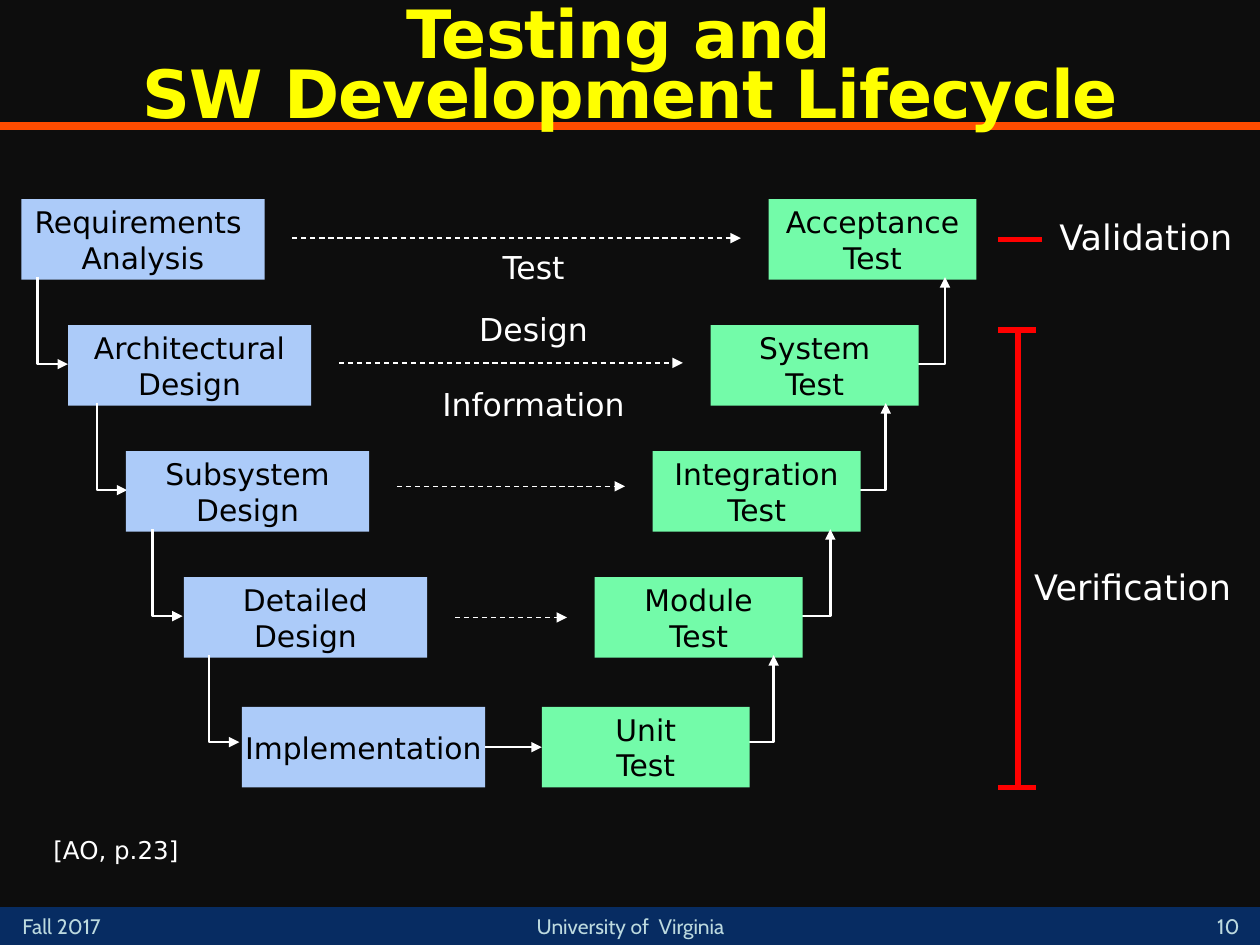
"""Build the slide that maps testing levels onto the software lifecycle."""
from dataclasses import dataclass
from typing import NamedTuple, Optional

from lxml.etree import SubElement
from pptx import Presentation
from pptx.dml.color import RGBColor
from pptx.enum.dml import MSO_LINE
from pptx.enum.shapes import MSO_CONNECTOR, MSO_SHAPE
from pptx.enum.text import MSO_ANCHOR, PP_ALIGN
from pptx.oxml.ns import qn
from pptx.util import Inches, Pt


@dataclass(frozen=True)
class Theme:
    back: str = "0D0D0D"
    bar: str = "072C62"
    rule: str = "FF4C00"
    footer: str = "BDDADF"
    title: str = "FFFF00"
    phase: str = "ACCBF9"
    test: str = "73FBA9"
    dark: str = "000000"
    light: str = "FFFFFF"
    bracket: str = "FF0000"
    body_font: str = "DejaVu Sans"
    footer_font: str = "Cabin"
    title_size: int = 38
    label_size: int = 20
    info_size: int = 18
    box_size: int = 17
    ref_size: int = 14
    footer_size: int = 12


class Stage(NamedTuple):
    phase: str
    test: str
    phase_x: float
    test_x: float
    top: float
    elbow_x: Optional[float] = None
    arrow_y: Optional[float] = None


class Label(NamedTuple):
    text: str
    box: tuple
    size: int
    color: str = "FFFFFF"
    font: str = "DejaVu Sans"
    align: PP_ALIGN = PP_ALIGN.CENTER
    anchor: MSO_ANCHOR = MSO_ANCHOR.TOP


T = Theme()
PHASE_W, TEST_W, BOX_H = 1.93, 1.65, 0.64
ARROW_GAP = 0.22
ELBOW_W, ELBOW_H, MIRROR = 0.24, 0.69, 7.8

STAGES = [
    Stage("Requirements \nAnalysis", "Acceptance\nTest", 0.17, 6.1, 1.58, 0.3, 1.89),
    Stage("Architectural\nDesign", "System\nTest", 0.54, 5.64, 2.58, 0.77, 2.88),
    Stage("Subsystem\nDesign", "Integration\nTest", 1, 5.18, 3.58, 1.21, 3.86),
    Stage("Detailed\nDesign", "Module\nTest", 1.46, 4.72, 4.58, 1.66, 4.9),
    Stage("Implementation", "Unit\nTest", 1.92, 4.3, 5.61),
]

FOOTERS = [
    Label("Fall 2017", (0.08, 7.2, 1.17, 0.3), T.footer_size, T.footer,
          T.footer_font, PP_ALIGN.LEFT),
    Label("10", (9.5, 7.17, 0.5, 0.33), T.footer_size, T.footer,
          T.footer_font, anchor=MSO_ANCHOR.BOTTOM),
    Label("University of  Virginia", (3.67, 7.2, 2.67, 0.3), T.footer_size,
          T.footer, T.footer_font),
]
TITLE = Label("Testing and \vSW Development Lifecycle", (0, 0.06, 10, 1),
              T.title_size, T.title, anchor=MSO_ANCHOR.MIDDLE)
INFO = Label("Test\nDesign\nInformation", (3.3, 1.92, 1.87, 1.51), T.info_size)
NOTES = [
    Label("[AO, p.23]", (0.17, 6.58, 1.5, 0.34), T.ref_size),
    Label("Validation", (8.17, 1.66, 1.71, 0.44), T.label_size,
          align=PP_ALIGN.RIGHT),
    Label("Verification", (8.08, 4.44, 1.79, 0.44), T.label_size,
          align=PP_ALIGN.RIGHT),
]
BRACKETS = [
    (7.92, 2.62, 8.22, 2.62),
    (8.08, 2.62, 8.08, 6.25),
    (7.92, 6.25, 8.22, 6.25),
    (7.92, 1.9, 8.27, 1.9),
]


def write(tf, label: Label, wrap: bool = True) -> None:
    """Fill a text frame and format its paragraphs and runs."""
    tf.text = label.text
    tf.word_wrap = wrap
    tf.vertical_anchor = label.anchor
    for p in tf.paragraphs:
        p.alignment = label.align
        for r in p.runs:
            r.font.name = label.font
            r.font.size = Pt(label.size)
            r.font.color.rgb = RGBColor.from_string(label.color)


def add_label(s, label: Label):
    """Add a text box and return its text frame."""
    sp = s.shapes.add_textbox(*map(Inches, label.box))
    write(sp.text_frame, label)
    return sp.text_frame


def add_title(s) -> None:
    """Add the tightly set bold title."""
    p = add_label(s, TITLE).paragraphs[0]
    p.line_spacing = 0.75
    for r in p.runs:
        r.font.bold = True
        r.font._element.set("spc", "-50")


def add_rect(s, box: tuple, color: str):
    """Add a plain filled rectangle."""
    sp = s.shapes.add_shape(MSO_SHAPE.RECTANGLE, *map(Inches, box))
    sp.shadow.inherit = False
    sp.fill.solid()
    sp.fill.fore_color.rgb = RGBColor.from_string(color)
    sp.line.fill.background()
    return sp


def add_box(s, text: str, x: float, y: float, w: float, color: str) -> None:
    """Add one lifecycle box with centred text."""
    box = (x, y, w, BOX_H)
    sp = add_rect(s, box, color)
    write(sp.text_frame, Label(text, box, T.box_size, T.dark,
                               anchor=MSO_ANCHOR.MIDDLE), wrap=False)


def add_line(s, ends: tuple, color: str, width: float, arrow: str = "",
             dash: bool = False, bent: bool = False) -> None:
    """Add a line, with an optional arrowhead at headEnd or tailEnd."""
    kind = MSO_CONNECTOR.ELBOW if bent else MSO_CONNECTOR.STRAIGHT
    c = s.shapes.add_connector(kind, *map(Inches, ends))
    c.line.color.rgb = RGBColor.from_string(color)
    c.line.width = Pt(width)
    if dash:
        c.line.dash_style = MSO_LINE.DASH
    spPr = c._element.spPr
    if bent:
        spPr.find(qn("a:prstGeom")).set("prst", "bentConnector2")
    if arrow:
        SubElement(spPr.find(qn("a:ln")), qn(f"a:{arrow}"), type="triangle")
    SubElement(spPr, qn("a:effectLst"))


def add_stage(s, st: Stage) -> None:
    """Add a phase, its test and the arrows that leave them."""
    add_box(s, st.phase, st.phase_x, st.top, PHASE_W, T.phase)
    add_box(s, st.test, st.test_x, st.top, TEST_W, T.test)
    phase_end = st.phase_x + PHASE_W
    if st.elbow_x is None:
        add_line(s, (phase_end, 5.93, st.test_x, 5.93), T.light, 1.5, "tailEnd")
        return
    add_line(s, (phase_end + ARROW_GAP, st.arrow_y, st.test_x - ARROW_GAP, st.arrow_y),
             T.light, 0.75, "tailEnd", dash=True)
    x, y = st.elbow_x, st.top + 0.62
    side, low = x + ELBOW_W, y + ELBOW_H
    add_line(s, (side, low, x, y), T.light, 1.5, "headEnd", bent=True)
    add_line(s, (MIRROR - side, low, MIRROR - x, y), T.light, 1.5, "tailEnd", bent=True)


def main() -> None:
    """Build and save the slide."""
    prs = Presentation()
    prs.slide_width, prs.slide_height = Inches(10), Inches(7.5)
    s = prs.slides.add_slide(prs.slide_layouts[6])
    s.background.fill.solid()
    s.background.fill.fore_color.rgb = RGBColor.from_string(T.back)
    add_rect(s, (0, 7.2, 10, 0.3), T.bar)
    add_line(s, (0, 1, 10, 1), T.rule, 4.5)
    for label in FOOTERS:
        add_label(s, label)
    add_title(s)
    for st in STAGES:
        add_stage(s, st)
    info = add_label(s, INFO)
    for p, gap in zip(info.paragraphs[1:], (14, 21)):
        p.space_before = Pt(gap)
    for label in NOTES:
        add_label(s, label)
    for ends in BRACKETS:
        add_line(s, ends, T.bracket, 3)
    prs.save("out.pptx")


if __name__ == "__main__":
    main()
